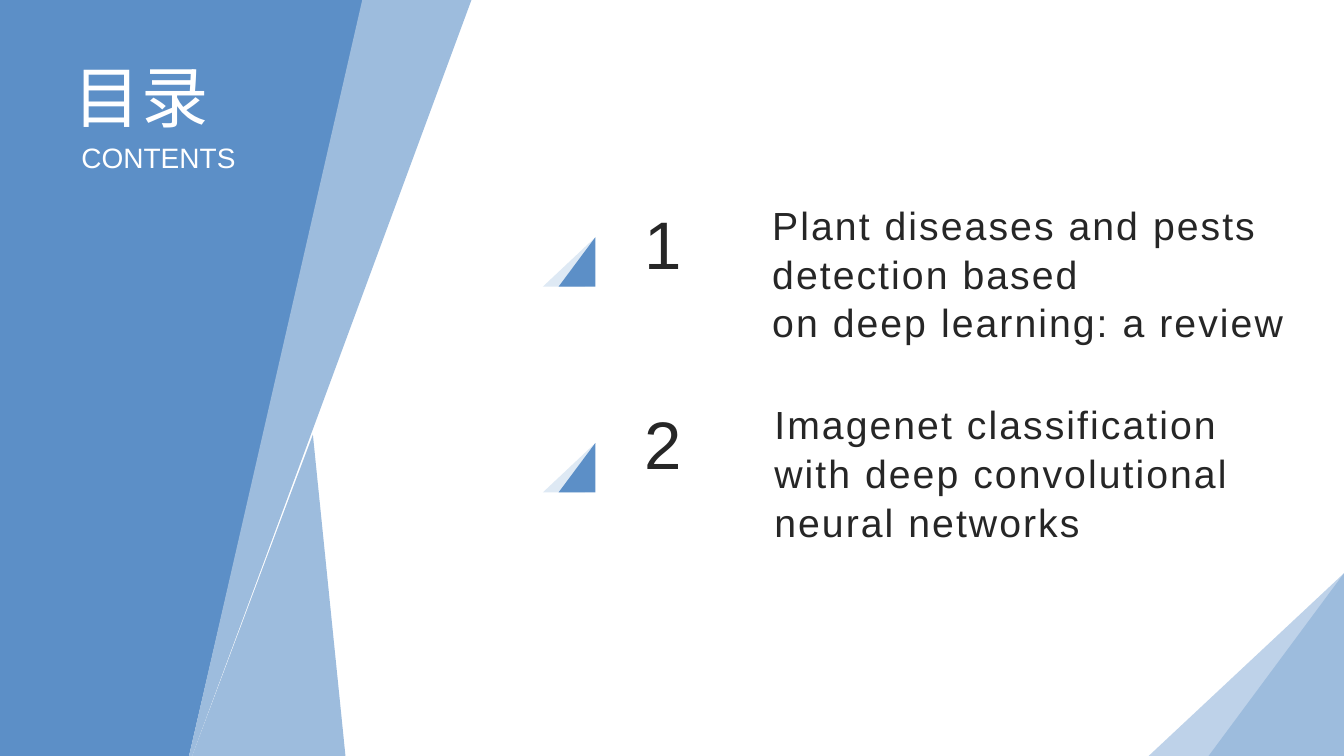
from pptx import Presentation
from pptx.dml.color import RGBColor
from pptx.enum.shapes import MSO_SHAPE as Shape
from pptx.enum.text import MSO_ANCHOR as Anchor
from pptx.util import Pt

PX = 9525  # EMU per px, 96 px to the inch
WIDE, HIGH = 1280, 720

BLUE = RGBColor(0x5C, 0x8F, 0xC7)
MID = RGBColor(0x9D, 0xBC, 0xDD)
LIGHT = RGBColor(0xBE, 0xD2, 0xE9)
PALE = RGBColor(0xDE, 0xE9, 0xF4)
INK = RGBColor(0x26, 0x26, 0x26)
WHITE = RGBColor(0xFF, 0xFF, 0xFF)

TOPICS = [
    ["Plant diseases and pests detection based",
     "on deep learning: a review"],
    ["Imagenet classification with deep convolutional neural networks"],
]


def paint(shape, color):
    shape.shadow.inherit = False
    shape.fill.solid()
    shape.fill.fore_color.rgb = color
    shape.line.fill.background()
    return shape


def outline(slide, points, color):
    pen = slide.shapes.build_freeform(*points[0], scale=PX)
    pen.add_line_segments(points[1:], close=True)
    return paint(pen.convert_to_shape(), color)


def write(slide, box, lines, size, color, spread=0, anchor=Anchor.TOP):
    frame = slide.shapes.add_textbox(*[n * PX for n in box]).text_frame
    frame.word_wrap = True
    frame.vertical_anchor = anchor
    frame.text = "\n".join(lines)
    for para in frame.paragraphs:
        para.font.name = "Arial"
        para.font.size = Pt(size)
        para.font.color.rgb = color
        if spread:
            para.line_spacing = 1.04
            for run in para.runs:
                run.font._element.set("spc", str(spread))


def wedge(slide, box, back, front):
    """Right triangle over a paler sliver with the same tip."""
    x, y, w, h = box
    tip, base = (x + w, y), y + h
    outline(slide, [tip, (x + round(w * 0.81), base), (x, base)], back)
    inset = round(w * 0.305)
    face = slide.shapes.add_shape(
        Shape.ISOSCELES_TRIANGLE,
        *[n * PX for n in (x + inset, y, w - inset, h)])
    face.adjustments[0] = 1
    paint(face, front)


def panel(slide, box):
    """Slanted left panel with its title."""
    x, y, w, h = box
    base = y + h
    outline(slide, [(x, y), (x + 347, y), (x + 180, base), (x, base)], BLUE)
    outline(slide, [(x + w, y), (x + 183, base), (x + 180, base),
                    (x + 345, y)], MID)
    outline(slide, [(x + 298, y + 414), (x + 329, base),
                    (x + 183, base)], MID)
    write(slide, (x + 61, y + 48, 160, 87), ["目录"], 48, WHITE)
    write(slide, (x + 68, y + 129, 168, 42), ["CONTENTS"], 20, WHITE)


def agenda(slide, box):
    """Numbered topics, each with a small wedge."""
    x, y, w, h = box
    for i, lines in enumerate(TOPICS):
        top = y + i * 190
        write(slide, (x + 87, top, 84, h), [str(i + 1)], 48, INK)
        wedge(slide, (x, y + 38 + i * 196, 50, 47), PALE, BLUE)
        left = 209 + i * 2
        write(slide, (x + left, top + 5, w - left - i * 18, h), lines,
              28, INK, 150, Anchor.MIDDLE)


def main():
    deck = Presentation()
    deck.slide_width, deck.slide_height = WIDE * PX, HIGH * PX
    slide = deck.slides.add_slide(deck.slide_layouts[6])
    # Bottom right corner
    wedge(slide, (WIDE - 186, HIGH - 174, 186, 174), LIGHT, MID)
    panel(slide, (0, 0, 449, HIGH))
    agenda(slide, (517, 188, 725, 133))
    deck.save("out.pptx")


if __name__ == "__main__":
    main()
